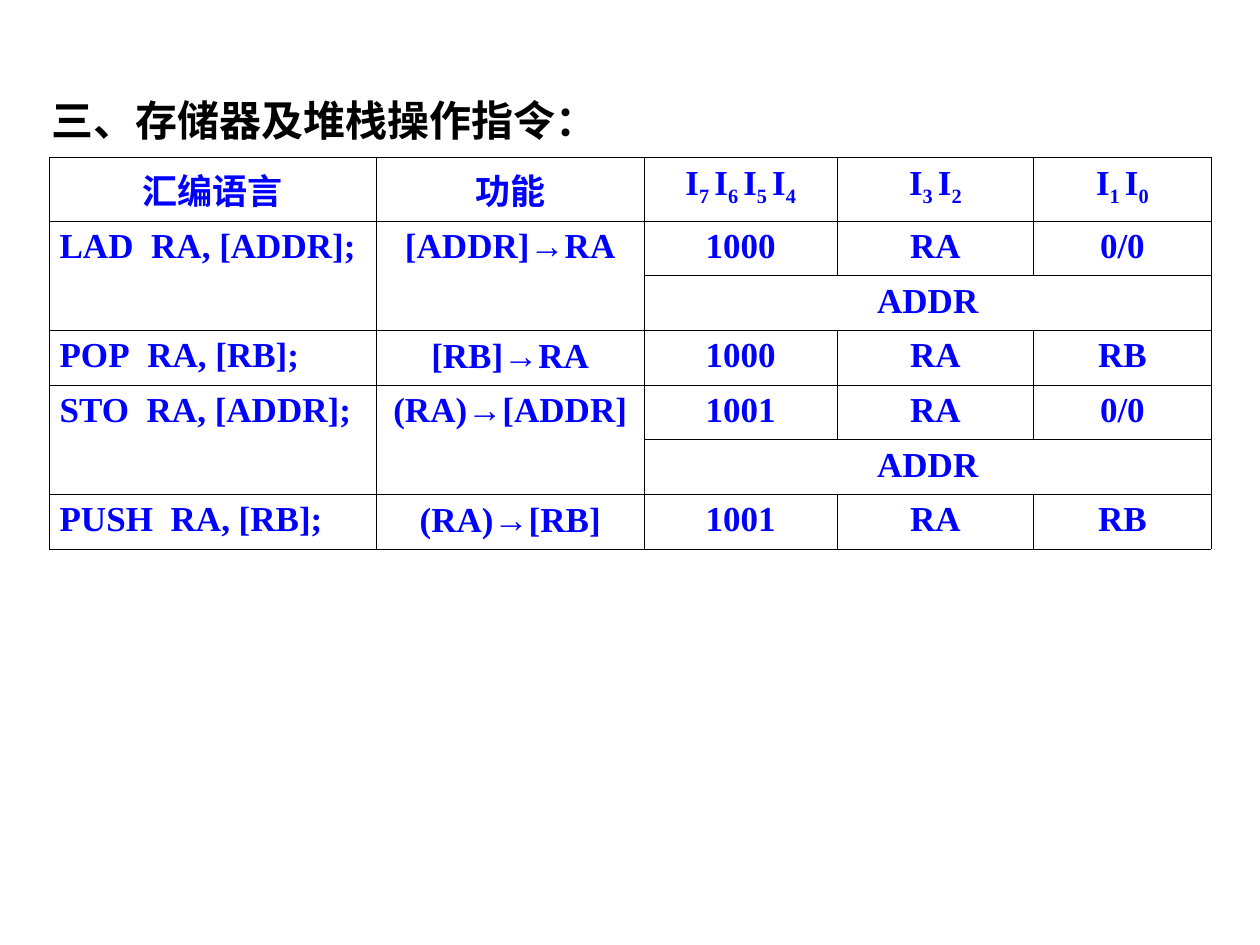
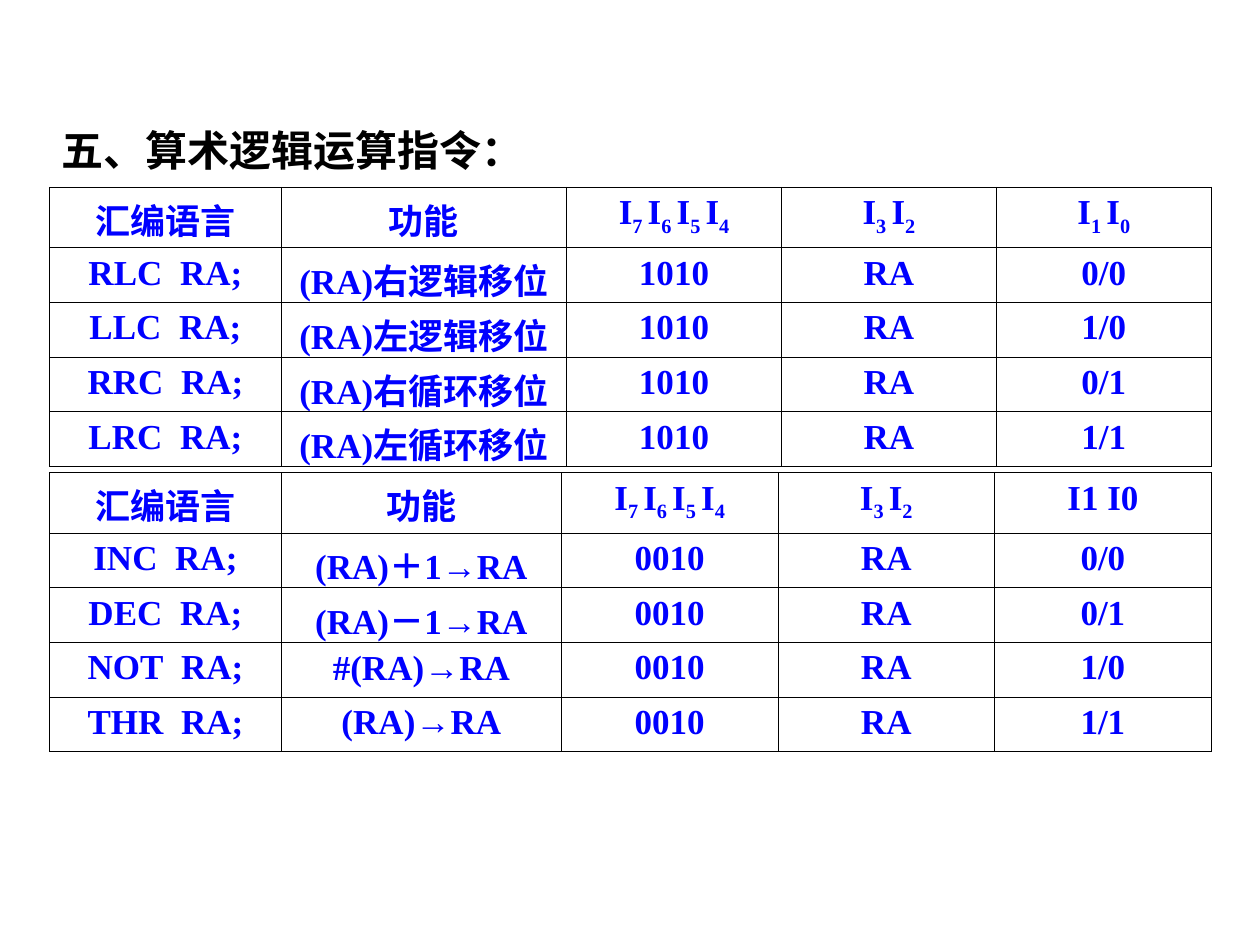
from dataclasses import dataclass
from lxml.etree import SubElement
from pptx import Presentation
from pptx.dml.color import RGBColor
from pptx.enum.text import MSO_AUTO_SIZE, PP_ALIGN
from pptx.oxml.ns import qn
from pptx.util import Pt


@dataclass(frozen=True)
class Theme:
    title_color: str = "000000"
    cell_color: str = "0000FF"
    border_color: str = "000000"
    font: str = "Times New Roman"
    arrow_font: str = "Arial"
    title_size: float = 24
    cell_size: float = 20
    border_width: float = 0.45
    table_left: float = 28.3
    header_height: float = 34.5
    row_height: float = 31.25


THEME = Theme()


@dataclass(frozen=True)
class Run:
    text: str
    font: str = THEME.font
    baseline: int = 0   # thousandths of a percent
    tracking: int = 0   # hundredths of a point


# Cell content
def bits(numbers):
    """Bit names such as I7 I6, with lowered numbers."""
    runs = []
    for position, number in enumerate(numbers, start=1):
        gap = " " if position < len(numbers) else ""
        runs += [Run("I"), Run(number + gap, baseline=-25000)]
    return runs


def instruction(mnemonic, operands):
    """Mnemonic and operands, separated by a widened space."""
    return [Run(mnemonic), Run(" ", tracking=500), Run(operands)]


def transfer(source, target):
    return [Run(source), Run("→", font=THEME.arrow_font), Run(target)]


def header(last_bits):
    return ["汇编语言", "功能", bits("7654"), bits("32"), last_bits]


# Text
def add_runs(paragraph, content, size, color):
    runs = [Run(content)] if isinstance(content, str) else content
    for part in runs:
        run = paragraph.add_run()
        run.text = part.text
        run.font.name = part.font
        run.font.size = Pt(size)
        run.font.bold = True
        run.font.color.rgb = RGBColor.from_string(color)
        properties = run._r.get_or_add_rPr()
        if part.baseline:
            properties.set("baseline", str(part.baseline))
        if part.tracking:
            properties.set("spc", str(part.tracking))


def add_title(slide, text, left, top):
    box = slide.shapes.add_textbox(Pt(left), Pt(top), Pt(556.5), Pt(36))
    frame = box.text_frame
    frame.word_wrap = True
    frame.auto_size = MSO_AUTO_SIZE.SHAPE_TO_FIT_TEXT
    add_runs(frame.paragraphs[0], text, THEME.title_size, THEME.title_color)


# Tables
def style_cell(cell):
    cell.margin_left = cell.margin_right = Pt(5.8)
    cell.margin_top = cell.margin_bottom = Pt(3.6)
    properties = cell._tc.get_or_add_tcPr()
    for side in ("a:lnL", "a:lnR", "a:lnT", "a:lnB"):
        line = SubElement(properties, qn(side), w=str(Pt(THEME.border_width)))
        fill = SubElement(line, qn("a:solidFill"))
        SubElement(fill, qn("a:srgbClr"), val=THEME.border_color)
    cell.fill.background()


def add_instruction_table(slide, top, widths, rows, left_aligned=False):
    heights = [THEME.header_height] + [THEME.row_height] * (len(rows) - 1)
    shape = slide.shapes.add_table(
        len(rows), len(widths), Pt(THEME.table_left), Pt(top),
        Pt(sum(widths)), Pt(sum(heights)))
    table = shape.table
    table.first_row = table.horz_banding = False
    for column, width in zip(table.columns, widths):
        column.width = Pt(width)
    for row, height in zip(table.rows, heights):
        row.height = Pt(height)

    for row_index, row in enumerate(rows):
        for column_index, content in enumerate(row):
            cell = table.cell(row_index, column_index)
            style_cell(cell)
            if content is None:
                continue
            paragraph = cell.text_frame.paragraphs[0]
            is_left = left_aligned and row_index > 0 and column_index == 0
            paragraph.alignment = PP_ALIGN.LEFT if is_left else PP_ALIGN.CENTER
            add_runs(paragraph, content, THEME.cell_size, THEME.cell_color)
    return table


def merge_address_rows(table, rows):
    """Join each address row's bit cells, and its first cells with those above."""
    for index, row in enumerate(rows):
        if row[0] is None:
            for column in (0, 1):
                table.cell(index - 1, column).merge(table.cell(index, column))
            table.cell(index, 2).merge(table.cell(index, 4))


# Slides
def build_memory_slide(slide):
    address_row = [None, None, "ADDR", None, None]
    rows = [
        header(bits("10")),
        [instruction("LAD", "RA, [ADDR];"), transfer("[ADDR]", "RA"), "1000", "RA", "0/0"],
        address_row,
        [instruction("POP", "RA, [RB];"), transfer("[RB]", "RA"), "1000", "RA", "RB"],
        [instruction("STO", "RA, [ADDR];"), transfer("(RA)", "[ADDR]"), "1001", "RA", "0/0"],
        address_row,
        [instruction("PUSH", "RA, [RB];"), transfer("(RA)", "[RB]"), "1001", "RA", "RB"],
    ]
    table = add_instruction_table(
        slide, 90, [186.5, 153.5, 110, 112.5, 101.3], rows, left_aligned=True)
    merge_address_rows(table, rows)
    add_title(slide, "三、存储器及堆栈操作指令：", 22.5, 50.5)


def build_arithmetic_slide(slide):
    add_title(slide, "五、算术逻辑运算指令：", 28.3, 67.5)
    codes = ["0/0", "1/0", "0/1", "1/1"]

    # Shift instructions
    shifts = [("RLC", "右逻辑移位"), ("LLC", "左逻辑移位"),
              ("RRC", "右循环移位"), ("LRC", "左循环移位")]
    shift_rows = [header(bits("10"))] + [
        [instruction(name, "RA;"), "(RA)" + action, "1010", "RA", code]
        for (name, action), code in zip(shifts, codes)]
    add_instruction_table(slide, 107, [132.5, 163] + [122.8] * 3, shift_rows)

    # Single-operand instructions
    operations = [("INC", "(RA)＋1", "0/0"), ("DEC", "(RA)－1", "0/1"),
                  ("NOT", "#(RA)", "1/0"), ("THR", "(RA)", "1/1")]
    operation_rows = [header("I1 I0")] + [
        [instruction(name, "RA;"), transfer(source, "RA"), "0010", "RA", code]
        for name, source, code in operations]
    add_instruction_table(slide, 270, [132.5, 160] + [123.8] * 3, operation_rows)


def main():
    presentation = Presentation()
    presentation.slide_width, presentation.slide_height = Pt(720), Pt(540)
    blank = presentation.slide_layouts[6]
    for build in (build_memory_slide, build_arithmetic_slide):
        build(presentation.slides.add_slide(blank))
    presentation.save("out.pptx")


if __name__ == "__main__":
    main()
